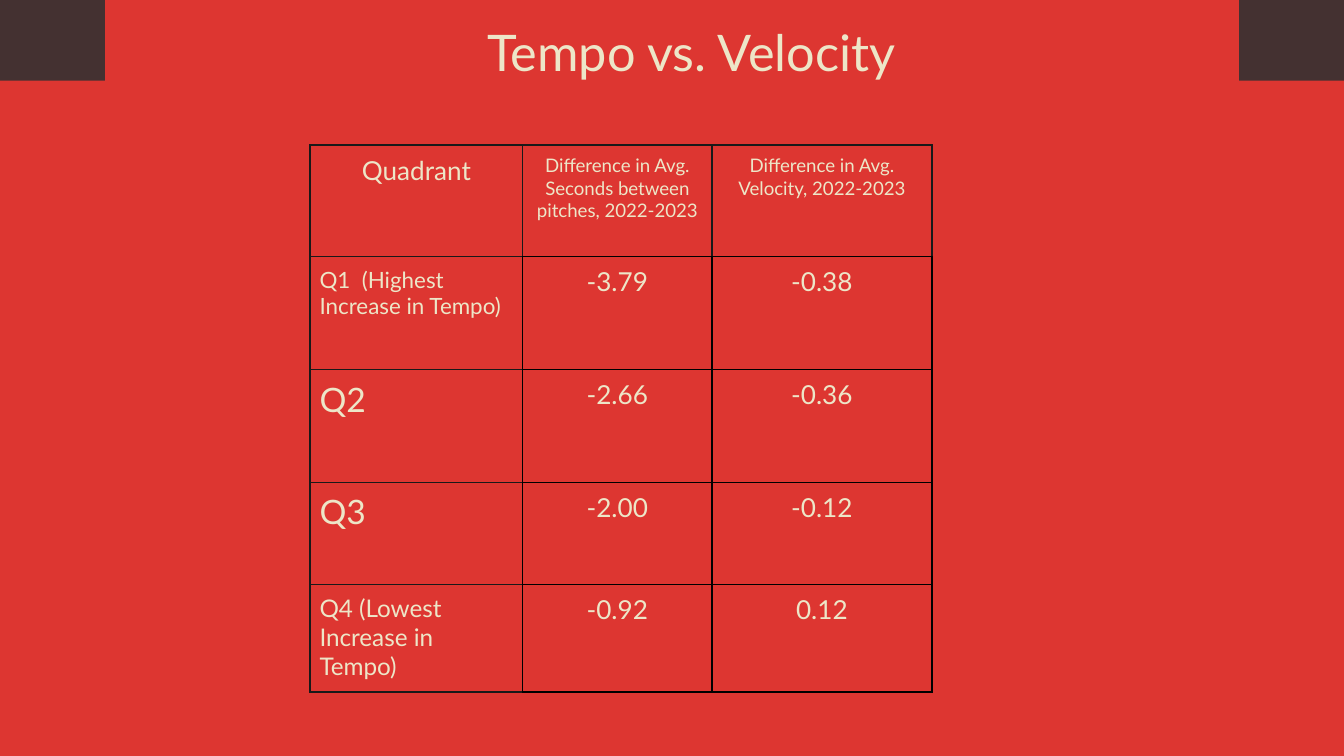
from lxml.etree import SubElement
from pptx import Presentation
from pptx.dml.color import RGBColor
from pptx.enum.shapes import MSO_SHAPE
from pptx.enum.text import MSO_ANCHOR, PP_ALIGN
from pptx.oxml.ns import qn
from pptx.util import Pt

RED = RGBColor(0xDD, 0x36, 0x31)
BROWN = RGBColor(0x44, 0x31, 0x31)
CREAM = RGBColor(0xED, 0xE6, 0xC8)
BLACK = RGBColor(0, 0, 0)
GREY = RGBColor(0x19, 0x19, 0x19)


def write(frame, text, size, align, inset):
    form = {"word_wrap": True, "vertical_anchor": MSO_ANCHOR.TOP,
            "margin_left": inset, "margin_right": inset,
            "margin_top": inset, "margin_bottom": inset}
    for key, val in form.items():
        setattr(frame, key, val)
    para = frame.paragraphs[0]
    para.alignment = align
    run = para.add_run()
    run.text = text
    for key, val in {"name": "Lato", "size": Pt(size), "bold": False}.items():
        setattr(run.font, key, val)
    run.font.color.rgb = CREAM


def edge(cell, tag, color):
    line = SubElement(cell._tc.get_or_add_tcPr(), qn("a:" + tag), w=str(Pt(1)))
    fill = SubElement(line, qn("a:solidFill"))
    SubElement(fill, qn("a:srgbClr"), val=str(color))


deck = Presentation()
deck.slide_width, deck.slide_height = Pt(720), Pt(405)
slide = deck.slides.add_slide(deck.slide_layouts[6])
slide.background.fill.solid()
slide.background.fill.fore_color.rgb = RED

bars = [(0, 0, 56.2, 405, BROWN), (663.8, 0, 56.2, 405, BROWN),
        (0, 43.2, 720, 361.8, RED)]
for *box, color in bars:
    bar = slide.shapes.add_shape(MSO_SHAPE.RECTANGLE, *map(Pt, box))
    bar.shadow.inherit = False
    bar.fill.solid()
    bar.fill.fore_color.rgb = color
    bar.line.fill.background()

title = slide.shapes.add_textbox(Pt(17.3), Pt(4.3), Pt(706), Pt(54.7))
write(title.text_frame, "Tempo vs. Velocity", 27, PP_ALIGN.CENTER, Pt(7.2))

rows = [
    [("Quadrant", 14),
     ("Difference in Avg. Seconds between pitches, 2022-2023", 10),
     ("Difference in Avg. Velocity, 2022-2023", 10)],
    [("Q1  (Highest Increase in Tempo)", 12), ("-3.79", 14), ("-0.38", 14)],
    [("Q2", 18), ("-2.66", 14), ("-0.36", 14)],
    [("Q3", 18), ("-2.00", 14), ("-0.12", 14)],
    [("Q4 (Lowest Increase in Tempo)", 13), ("-0.92", 14), ("0.12", 14)],
]
wide = [113.8, 101.5, 117.7]
high = [59.8, 60.5, 60.5, 54.7, 57.6]
grid = slide.shapes.add_table(len(high), len(wide), Pt(166.2), Pt(77.7),
                              Pt(sum(wide)), Pt(sum(high))).table
for key in ("first_row", "horz_banding"):
    setattr(grid, key, False)
for col, size in zip(grid.columns, wide):
    col.width = Pt(size)
for row, size in zip(grid.rows, high):
    row.height = Pt(size)

for r, row in enumerate(rows):
    for c, (text, size) in enumerate(row):
        cell = grid.cell(r, c)
        left = c == 0 and r > 0
        write(cell.text_frame, text, size,
              PP_ALIGN.LEFT if left else PP_ALIGN.CENTER, Pt(5))
        for side in ("left", "right", "top", "bottom"):
            setattr(cell, "margin_" + side, Pt(5))
        for tag in ("lnL", "lnR", "lnT", "lnB"):
            soft = (r == c == 0 or r == 0 and tag != "lnB"
                    or c == 0 and tag != "lnR")
            edge(cell, tag, GREY if soft else BLACK)
        cell.fill.background()

deck.save("out.pptx")
